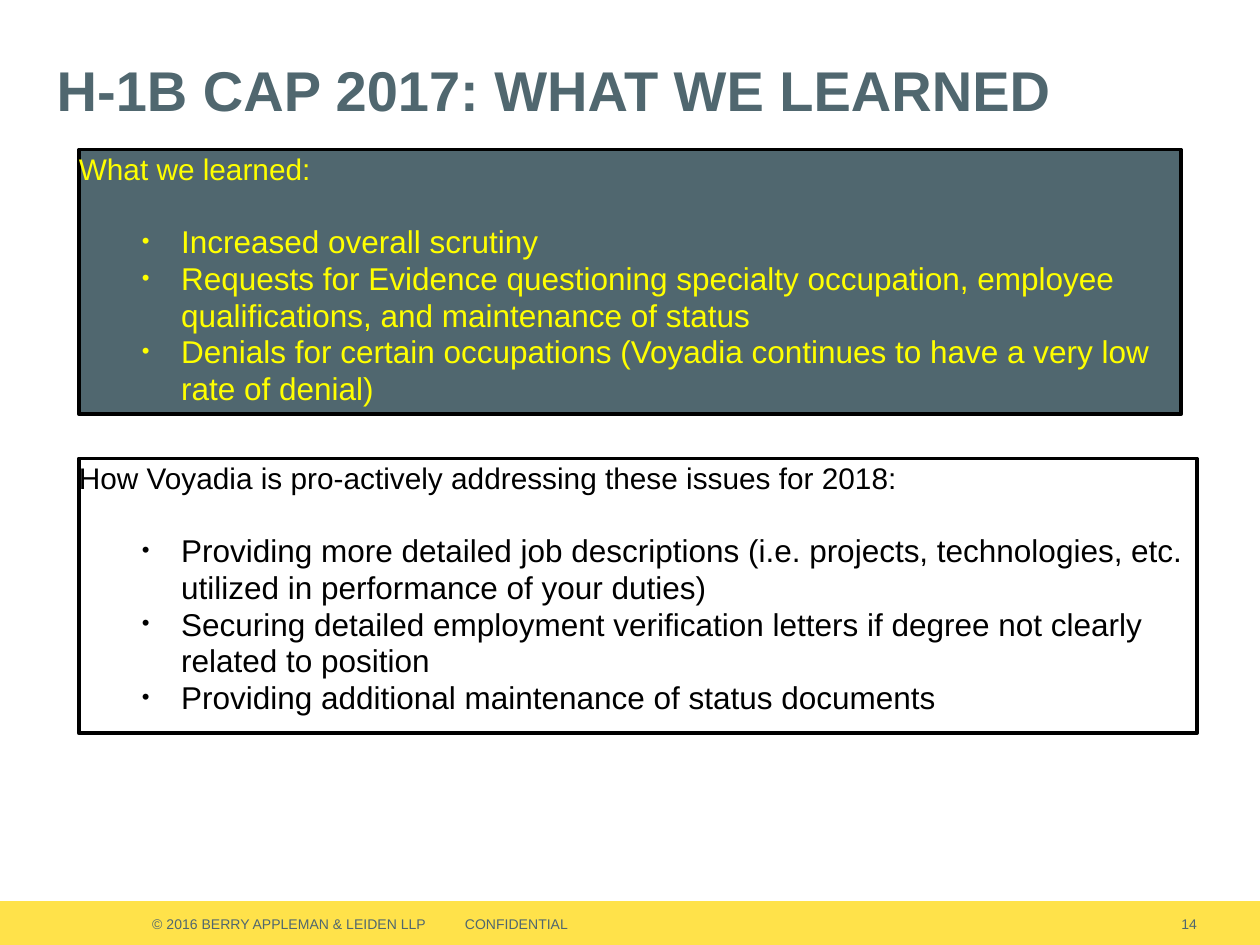
from lxml import etree
from pptx import Presentation
from pptx.dml.color import RGBColor
from pptx.enum.shapes import MSO_SHAPE
from pptx.enum.text import MSO_ANCHOR, MSO_AUTO_SIZE, PP_ALIGN
from pptx.oxml.ns import qn
from pptx.util import Pt

RECTANGLE = MSO_SHAPE.RECTANGLE
TOP, MIDDLE = MSO_ANCHOR.TOP, MSO_ANCHOR.MIDDLE
NO_AUTOFIT = MSO_AUTO_SIZE.NONE
LEFT, RIGHT = PP_ALIGN.LEFT, PP_ALIGN.RIGHT

FONT = "Arial"
COLORS = {
    "slate": "50676F",
    "yellow": "FFFF00",
    "gold": "FFE24A",
    "white": "FFFFFF",
    "black": "000000",
}
LINE_HEIGHT = 21

LEARNED = (
    "What we learned:",
    [
        "Increased overall scrutiny",
        "Requests for Evidence questioning specialty occupation, employee "
        "qualifications, and maintenance of status",
        "Denials for certain occupations (Voyadia continues to have a very low "
        "rate of denial)",
    ],
)
ACTIONS = (
    "How Voyadia is pro-actively addressing these issues for 2018:",
    [
        "Providing more detailed job descriptions (i.e. projects, technologies, etc. "
        "utilized in performance of your duties)",
        "Securing detailed employment verification letters if degree not clearly "
        "related to position",
        "Providing additional maintenance of status documents",
    ],
)


def color(name):
    return RGBColor.from_string(COLORS[name])


def place(shape, box):
    shape.left, shape.top, shape.width, shape.height = (Pt(length) for length in box)


def prepare_frame(shape, anchor=TOP):
    frame = shape.text_frame
    frame.margin_left = frame.margin_top = frame.margin_right = frame.margin_bottom = 0
    frame.word_wrap = True
    frame.auto_size = NO_AUTOFIT
    frame.vertical_anchor = anchor
    return frame


def set_font(paragraph, size, color_name, bold=False):
    font = paragraph.font
    font.name = FONT
    font.size = Pt(size)
    font.bold = bold
    font.color.rgb = color(color_name)


def set_bullet(paragraph, indent=0, hanging=0, character=None):
    properties = paragraph._p.get_or_add_pPr()
    properties.set("marL", str(Pt(indent)))
    properties.set("indent", str(Pt(-hanging)))
    if character is None:
        etree.SubElement(properties, qn("a:buNone"))
    else:
        etree.SubElement(properties, qn("a:buSzPct"), val="70000")
        etree.SubElement(properties, qn("a:buFont"), typeface=FONT)
        etree.SubElement(properties, qn("a:buChar"), char=character)


def add_title(slide, box, text):
    title = slide.shapes.title
    place(title, box)
    paragraph = prepare_frame(title).paragraphs[0]
    paragraph.text = text
    paragraph.alignment = LEFT
    paragraph.line_spacing = Pt(34)
    set_font(paragraph, 32, "slate", bold=True)


def fill_panel(shape, box, content, fill, text_color):
    place(shape, box)
    shape.fill.solid()
    shape.fill.fore_color.rgb = color(fill)
    shape.line.color.rgb = color("black")
    shape.line.width = Pt(2)
    frame = prepare_frame(shape)
    heading, items = content
    for index, text in enumerate([heading, *items]):
        paragraph = frame.paragraphs[0] if index == 0 else frame.add_paragraph()
        paragraph.text = text
        paragraph.alignment = LEFT
        paragraph.line_spacing = Pt(LINE_HEIGHT)
        paragraph.space_before = Pt(LINE_HEIGHT if index == 1 else 0)
        if index == 0:
            set_bullet(paragraph)
        else:
            paragraph.level = 1
            set_bullet(paragraph, 58.5, 22.5, "•")
        set_font(paragraph, 17 if index == 0 else 18, text_color)


def add_footer_text(slide, box, text, alignment, tab=None):
    text_box = slide.shapes.add_textbox(*(Pt(length) for length in box))
    paragraph = prepare_frame(text_box, MIDDLE).paragraphs[0]
    paragraph.text = text
    paragraph.alignment = alignment
    if tab:
        tabs = etree.SubElement(paragraph._p.get_or_add_pPr(), qn("a:tabLst"))
        etree.SubElement(tabs, qn("a:tab"), pos=str(Pt(tab)), algn="l")
    set_font(paragraph, 8, "slate")


def add_footer(slide, box):
    left, top, width, height = box
    band = slide.shapes.add_shape(RECTANGLE, *(Pt(length) for length in box))
    band.shadow.inherit = False
    band.fill.solid()
    band.fill.fore_color.rgb = color("gold")
    band.line.fill.background()
    text_top = top + 8
    add_footer_text(
        slide, (left + 87, text_top, 336, 9.4),
        "© 2016 BERRY APPLEMAN & LEIDEN LLP\tCONFIDENTIAL", LEFT, tab=178.7,
    )
    add_footer_text(slide, (left + width - 63, text_top, 27, 9.4), "14", RIGHT)


def main():
    presentation = Presentation()
    presentation.slide_width, presentation.slide_height = Pt(720), Pt(540)
    slide = presentation.slides.add_slide(presentation.slide_layouts[1])
    add_footer(slide, (0, 515, 720, 25))
    add_title(slide, (32.4, 36, 630, 72), "H-1B CAP 2017: WHAT WE LEARNED")
    learned_panel = slide.shapes.add_shape(RECTANGLE, 0, 0, 0, 0)
    learned_panel.shadow.inherit = False
    fill_panel(learned_panel, (45, 85.5, 630, 151.2), LEARNED, "slate", "yellow")
    fill_panel(
        slide.placeholders[1], (45, 262, 639, 157), ACTIONS, "white", "black"
    )
    presentation.save("out.pptx")


if __name__ == "__main__":
    main()
